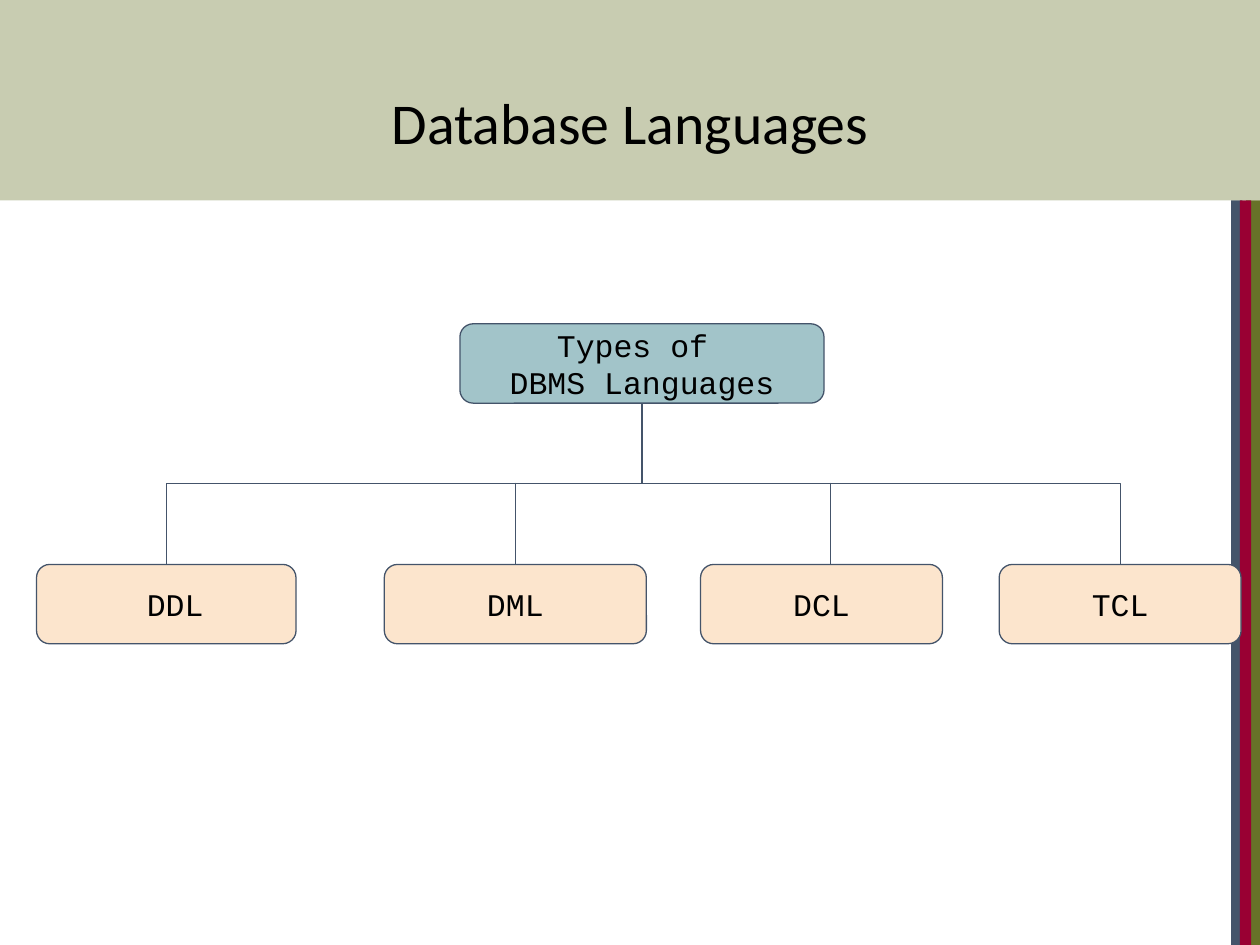
from dataclasses import dataclass

from lxml.etree import SubElement
from pptx import Presentation
from pptx.dml.color import RGBColor
from pptx.enum.shapes import MSO_CONNECTOR as CONN, MSO_SHAPE as SHAPE
from pptx.enum.text import MSO_ANCHOR as ANCHOR, PP_ALIGN as ALIGN
from pptx.oxml.ns import qn
from pptx.util import Inches, Pt

COLORS = {
    "olive": "677228",
    "slate": "44546A",
    "crimson": "990033",
    "teal": "A2C4C9",
    "peach": "FCE5CD",
    "black": "000000",
}
BAND_H = 1.59
BOX_H = 0.63
ROOT_TOP = 2.57
CHILD_TOP = 4.48
BUS_Y = 3.83
TOP, BOTTOM = 0, 2


@dataclass
class Box:
    text: str
    left: float
    width: float
    top: float = CHILD_TOP
    color: str = "peach"
    text_shift: float = 0


@dataclass
class Stripe:
    left: float
    width: float
    color: str


ROOT = Box("Types of \nDBMS Languages", 3.65, 2.89, ROOT_TOP, "teal")
DDL = Box("DDL", 0.29, 2.06, text_shift=0.14)
DML = Box("DML", 3.05, 2.08)
DCL = Box("DCL", 5.56, 1.92)
TCL = Box("TCL", 7.93, 1.92)
STRIPES = [
    Stripe(9.89, 0.11, "olive"),
    Stripe(9.77, 0.09, "slate"),
    Stripe(9.84, 0.09, "crimson"),
]


def rgb(name: str) -> RGBColor:
    return RGBColor.from_string(COLORS[name])


def write(shape, text: str, *, font: str, size: float, anchor, spacing: float = 1.0,
          shift: float = 0) -> None:
    """Fill a shape with centred black text, one paragraph per line."""
    tf = shape.text_frame
    tf.word_wrap = True
    tf.vertical_anchor = anchor
    tf.margin_left = Inches(0.1 + shift)
    tf.margin_right = tf.margin_top = tf.margin_bottom = Inches(0.1)
    tf.text = text
    for p in tf.paragraphs:
        p.alignment = ALIGN.CENTER
        p.line_spacing = spacing
        for r in p.runs:
            r.font.name = font
            r.font.size = Pt(size)
            r.font.color.rgb = rgb("black")


def add_filled(s, kind, left: float, top: float, width: float, height: float, color: str):
    sp = s.shapes.add_shape(kind, Inches(left), Inches(top), Inches(width), Inches(height))
    sp.shadow.inherit = False
    sp.fill.solid()
    sp.fill.fore_color.rgb = rgb(color)
    sp.line.fill.background()
    return sp


def add_box(s, box: Box):
    sp = add_filled(s, SHAPE.ROUNDED_RECTANGLE, box.left, box.top, box.width, BOX_H, box.color)
    sp.adjustments[0] = 0.167
    sp.line.color.rgb = rgb("slate")
    sp.line.width = Pt(0.75)
    write(sp, box.text, font="Courier New", size=18, anchor=ANCHOR.MIDDLE,
          shift=box.text_shift)
    return sp


def add_line(s, kind, x1: float, y1: float, x2: float, y2: float):
    line = s.shapes.add_connector(kind, Inches(x1), Inches(y1), Inches(x2), Inches(y2))
    line.line.color.rgb = rgb("slate")
    line.line.width = Pt(0.75)
    SubElement(line._element.spPr, qn("a:effectLst"))
    return line


def add_branch(s, parent, child) -> None:
    """Join parent to child with an elbow that runs down, across, down."""
    line = add_line(s, CONN.ELBOW, 0, 0, 1, 1)
    line.begin_connect(parent, BOTTOM)
    line.end_connect(child, TOP)
    x1, x2 = (sp.left + sp.width // 2 for sp in (parent, child))
    y1, y2 = parent.top + parent.height, child.top
    # The elbow's own axis is horizontal, so its box is turned a quarter
    run, rise = abs(x2 - x1), y2 - y1
    line.left, line.top = (x1 + x2 - rise) // 2, (y1 + y2 - run) // 2
    line.width, line.height = rise, run
    xfrm = line._element.spPr.find(qn("a:xfrm"))
    for flip in ("flipH", "flipV"):
        xfrm.attrib.pop(flip, None)
    to_left = x2 < x1
    xfrm.set("rot", str((90 if to_left else 270) * 60000))
    if not to_left:
        xfrm.set("flipH", "1")


def add_background(s, width: float, height: float) -> None:
    for stripe in STRIPES:
        add_filled(s, SHAPE.RECTANGLE, stripe.left, BAND_H, stripe.width,
                   height - BAND_H, stripe.color)
    band = add_filled(s, SHAPE.RECTANGLE, 0, 0, width, BAND_H, "olive")
    color = band._element.spPr.find(qn("a:solidFill"))[0]
    SubElement(color, qn("a:alpha")).set("val", "36000")


def add_title(s, text: str) -> None:
    title = s.shapes.title
    title.left, title.top = Inches(0.34), Inches(0.65)
    title.width, title.height = Inches(9.32), Inches(0.84)
    write(title, text, font="Calibri", size=33, anchor=ANCHOR.TOP, spacing=0.9)
    s.shapes._spTree.append(title._element)  # in front of the band


def main() -> None:
    prs = Presentation()
    prs.slide_width, prs.slide_height = Inches(10), Inches(7.5)
    s = prs.slides.add_slide(prs.slide_layouts[5])
    add_background(s, 10, 7.5)
    add_title(s, "Database Languages")

    root, ddl, dml, tcl, _ = [add_box(s, box) for box in (ROOT, DDL, DML, TCL, DCL)]
    add_branch(s, root, ddl)
    add_branch(s, root, tcl)
    dml_drop = add_line(s, CONN.STRAIGHT, 4.09, BUS_Y, 4.09, CHILD_TOP)
    dml_drop.end_connect(dml, TOP)
    add_line(s, CONN.STRAIGHT, 6.59, BUS_Y, 6.59, CHILD_TOP)
    prs.save("out.pptx")


if __name__ == "__main__":
    main()
